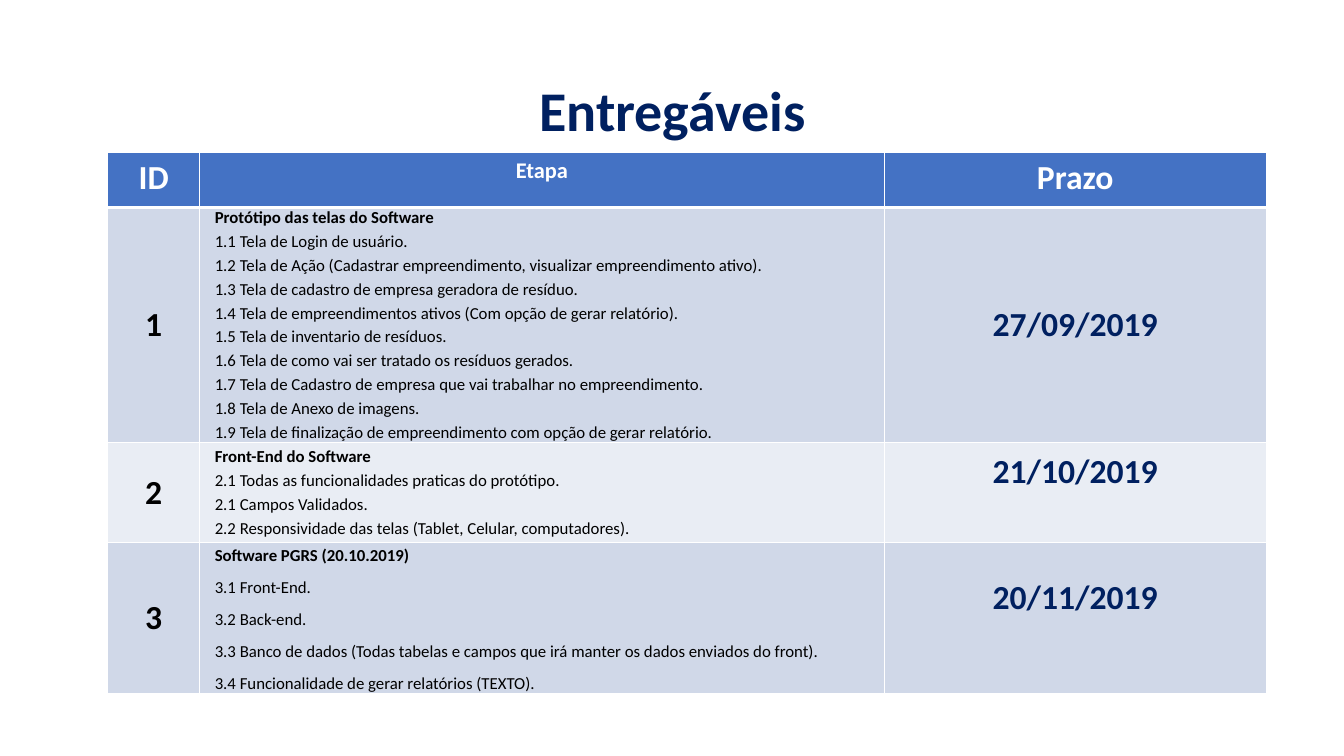
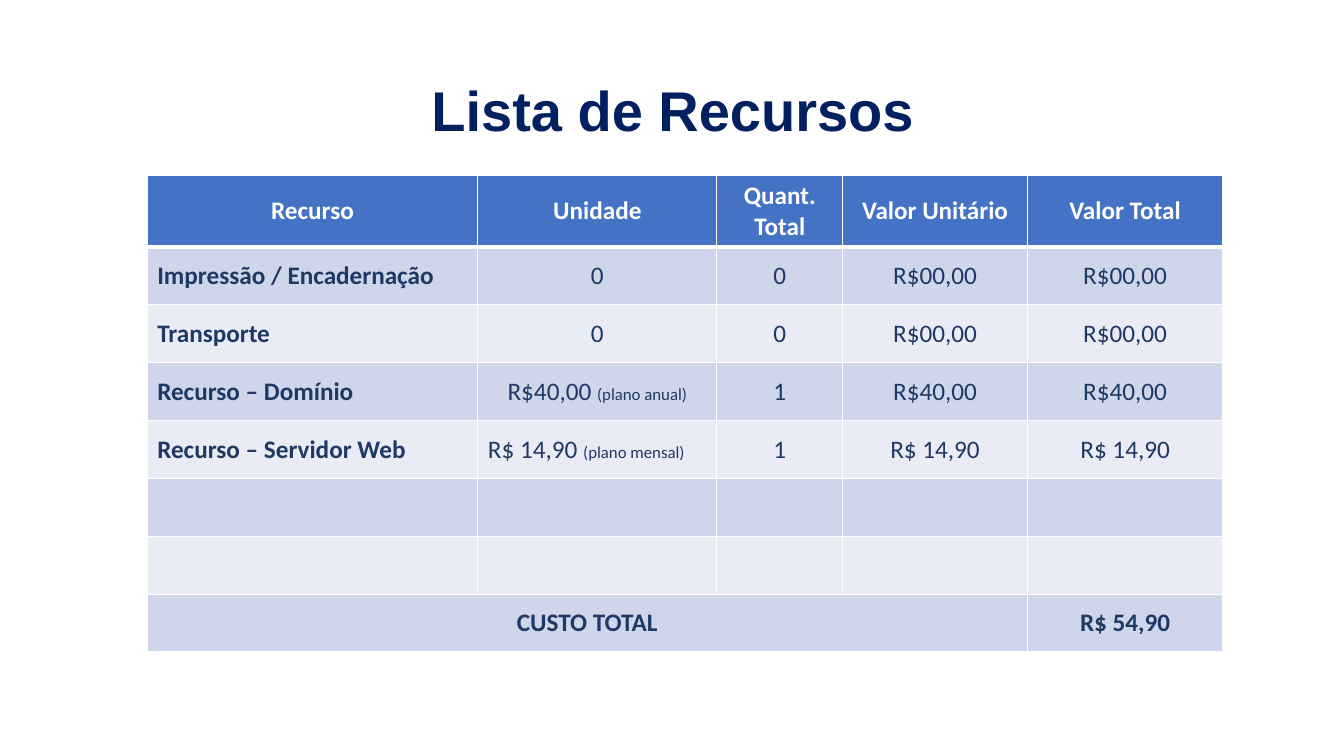
"""Build two project slides: deliverables with deadlines, and the resource list."""
from lxml import etree
from pptx import Presentation
from pptx.dml.color import RGBColor
from pptx.enum.text import MSO_ANCHOR, PP_ALIGN
from pptx.oxml.ns import qn
from pptx.util import Inches, Pt

LEFT, CENTER = PP_ALIGN.LEFT, PP_ALIGN.CENTER
TOP, MIDDLE = MSO_ANCHOR.TOP, MSO_ANCHOR.MIDDLE

WHITE, BLACK = "FFFFFF", "000000"
NAVY, DARK_BLUE, HEADER_BLUE = "002060", "203864", "4472C4"
DELIVERABLE_BANDS = ("D0D8E8", "E9EDF4")
RESOURCE_BANDS = ("CFD5EA", "E9EBF5")

DELIVERABLE_HEADERS = [("ID", 24), ("Etapa", 16), ("Prazo", 24)]
DELIVERABLES = [
    {
        "stage": "Protótipo das telas do Software",
        "items": [
            "1.1 Tela de Login de usuário.",
            "1.2 Tela de Ação (Cadastrar empreendimento, visualizar empreendimento ativo).",
            "1.3 Tela de cadastro de empresa geradora de resíduo.",
            "1.4 Tela de empreendimentos ativos (Com opção de gerar relatório).",
            "1.5 Tela de inventario de resíduos.",
            "1.6 Tela de como vai ser tratado os resíduos gerados.",
            "1.7 Tela de Cadastro de empresa que vai trabalhar no empreendimento.",
            "1.8 Tela de Anexo de imagens.",
            "1.9 Tela de finalização de empreendimento com opção de gerar relatório.",
        ],
        "deadline": "27/09/2019", "deadline_bottom": 0.05,
        "space_before": 2.4, "line_spacing": 1.0,
    },
    {
        "stage": "Front-End do Software",
        "items": [
            "2.1 Todas as funcionalidades praticas do protótipo.",
            "2.1 Campos Validados.",
            "2.2 Responsividade das telas (Tablet, Celular, computadores).",
        ],
        "deadline": "21/10/2019", "deadline_bottom": 0.45,
        "space_before": 2.4, "line_spacing": 1.0,
    },
    {
        "stage": "Software PGRS (20.10.2019)",
        "items": [
            "3.1 Front-End.",
            "3.2 Back-end.",
            "3.3 Banco de dados (Todas tabelas e campos que irá manter os dados enviados do front).",
            "3.4 Funcionalidade de gerar relatórios (TEXTO).",
        ],
        "deadline": "20/11/2019", "deadline_bottom": 0.45,
        "space_before": 6, "line_spacing": 1.15,
    },
]

RESOURCE_HEADERS = ["Recurso", "Unidade", "Quant. Total", "Valor Unitário", "Valor Total"]
RESOURCES = [
    ("Impressão / Encadernação", "0", "", "0", "R$00,00", "R$00,00"),
    ("Transporte", "0", "", "0", "R$00,00", "R$00,00"),
    ("Recurso – Domínio", "R$40,00 ", "(plano anual)", "1", "R$40,00", "R$40,00"),
    ("Recurso – Servidor Web", "R$ 14,90 ", "(plano mensal)", "1", "R$ 14,90", "R$ 14,90"),
]
LEFT_ALIGNED_UNIT = "R$ 14,90 "
TOTAL = ("CUSTO TOTAL", "R$ 54,90")


def rgb(color):
    return RGBColor.from_string(color)


def set_font(font, size, color, bold=False, name="Calibri"):
    font.name, font.size, font.bold = name, Pt(size), bold
    font.color.rgb = rgb(color)


def add_titled_slide(presentation, text, font_name):
    slide = presentation.slides.add_slide(presentation.slide_layouts[5])
    title = slide.shapes.title
    title.left, title.top = Inches(0.92), Inches(0.4)
    title.width, title.height = Inches(11.5), Inches(1.45)
    title.text_frame.text = text
    title.text_frame.vertical_anchor = MIDDLE
    paragraph = title.text_frame.paragraphs[0]
    paragraph.alignment, paragraph.line_spacing = CENTER, 0.9
    set_font(paragraph.font, 40, NAVY, True, font_name)
    return slide


def set_borders(cell, top, bottom):
    properties = cell._tc.get_or_add_tcPr()
    widths = (("a:lnL", 1), ("a:lnR", 1), ("a:lnT", top), ("a:lnB", bottom))
    for position, (tag, width) in enumerate(widths):
        line = etree.Element(qn(tag), w=str(Pt(width)))
        fill = etree.SubElement(line, qn("a:solidFill"))
        etree.SubElement(fill, qn("a:srgbClr"), val=WHITE)
        properties.insert(position, line)


def add_grid(slide, left, top, column_widths, row_heights, bands):
    """Add a table with a header row, banded body rows and white borders."""
    table = slide.shapes.add_table(
        len(row_heights), len(column_widths), Inches(left), Inches(top),
        Inches(sum(column_widths)), Inches(sum(row_heights))).table
    for column, width in zip(table.columns, column_widths):
        column.width = Inches(width)
    for index, (row, height) in enumerate(zip(table.rows, row_heights)):
        row.height = Inches(height)
        for cell in row.cells:
            cell.fill.solid()
            cell.fill.fore_color.rgb = rgb(bands[(index - 1) % 2] if index else HEADER_BLUE)
            set_borders(cell, 3 if index == 1 else 1, 1 if index else 3)
    return table


def add_run(paragraph, text, size, color, bold=False):
    run = paragraph.add_run()
    run.text = text
    set_font(run.font, size, color, bold)


def write_cell(cell, text, size, color, bold=False, alignment=CENTER, anchor=MIDDLE):
    cell.vertical_anchor = anchor
    paragraph = cell.text_frame.paragraphs[0]
    paragraph.alignment = alignment
    add_run(paragraph, text, size, color, bold)
    return paragraph


def write_stage(cell, deliverable):
    cell.vertical_anchor = MIDDLE
    cell.margin_left, cell.margin_right = Inches(0.15), Inches(0.07)
    cell.margin_top = cell.margin_bottom = 0
    frame = cell.text_frame
    for index, text in enumerate([deliverable["stage"], *deliverable["items"]]):
        paragraph = frame.add_paragraph() if index else frame.paragraphs[0]
        paragraph.space_before = Pt(deliverable["space_before"])
        paragraph.line_spacing = deliverable["line_spacing"]
        add_run(paragraph, text, 12, BLACK, index == 0)


def build_deliverables(presentation):
    slide = add_titled_slide(presentation, "Entregáveis", "Calibri")
    table = add_grid(slide, 1.07, 1.51, [0.91, 6.79, 3.79], [0.55, 2.33, 0.99, 1.5],
                     DELIVERABLE_BANDS)
    for column, (text, size) in enumerate(DELIVERABLE_HEADERS):
        write_cell(table.cell(0, column), text, size, WHITE, True, anchor=TOP)
    for row, deliverable in enumerate(DELIVERABLES, 1):
        write_cell(table.cell(row, 0), str(row), 24, BLACK, True)
        write_stage(table.cell(row, 1), deliverable)
        deadline = table.cell(row, 2)
        write_cell(deadline, deliverable["deadline"], 24, NAVY, True)
        deadline.margin_bottom = Inches(deliverable["deadline_bottom"])


def build_resources(presentation):
    slide = add_titled_slide(presentation, "Lista de Recursos", "Arial")
    header_height, table_height = 0.7, 4.72
    row_height = (table_height - header_height) / 7
    table = add_grid(slide, 1.46, 1.74, [3.28, 2.37, 1.25, 1.83, 1.94],
                     [header_height] + [row_height] * 7, RESOURCE_BANDS)
    for column, text in enumerate(RESOURCE_HEADERS):
        write_cell(table.cell(0, column), text, 18, WHITE, True)
    for row, (name, unit, note, *amounts) in enumerate(RESOURCES, 1):
        write_cell(table.cell(row, 0), name, 18, DARK_BLUE, True, LEFT)
        alignment = LEFT if unit == LEFT_ALIGNED_UNIT else CENTER
        paragraph = write_cell(table.cell(row, 1), unit, 18, DARK_BLUE, alignment=alignment)
        if note:
            add_run(paragraph, note, 12, DARK_BLUE)
        for column, amount in enumerate(amounts, 2):
            write_cell(table.cell(row, column), amount, 18, DARK_BLUE)
    table.cell(7, 0).merge(table.cell(7, 3))
    for column, text in zip((0, 4), TOTAL):
        write_cell(table.cell(7, column), text, 18, DARK_BLUE, True)


def main():
    presentation = Presentation()
    presentation.slide_width, presentation.slide_height = Inches(13.33), Inches(7.5)
    build_deliverables(presentation)
    build_resources(presentation)
    presentation.save("out.pptx")


if __name__ == "__main__":
    main()
